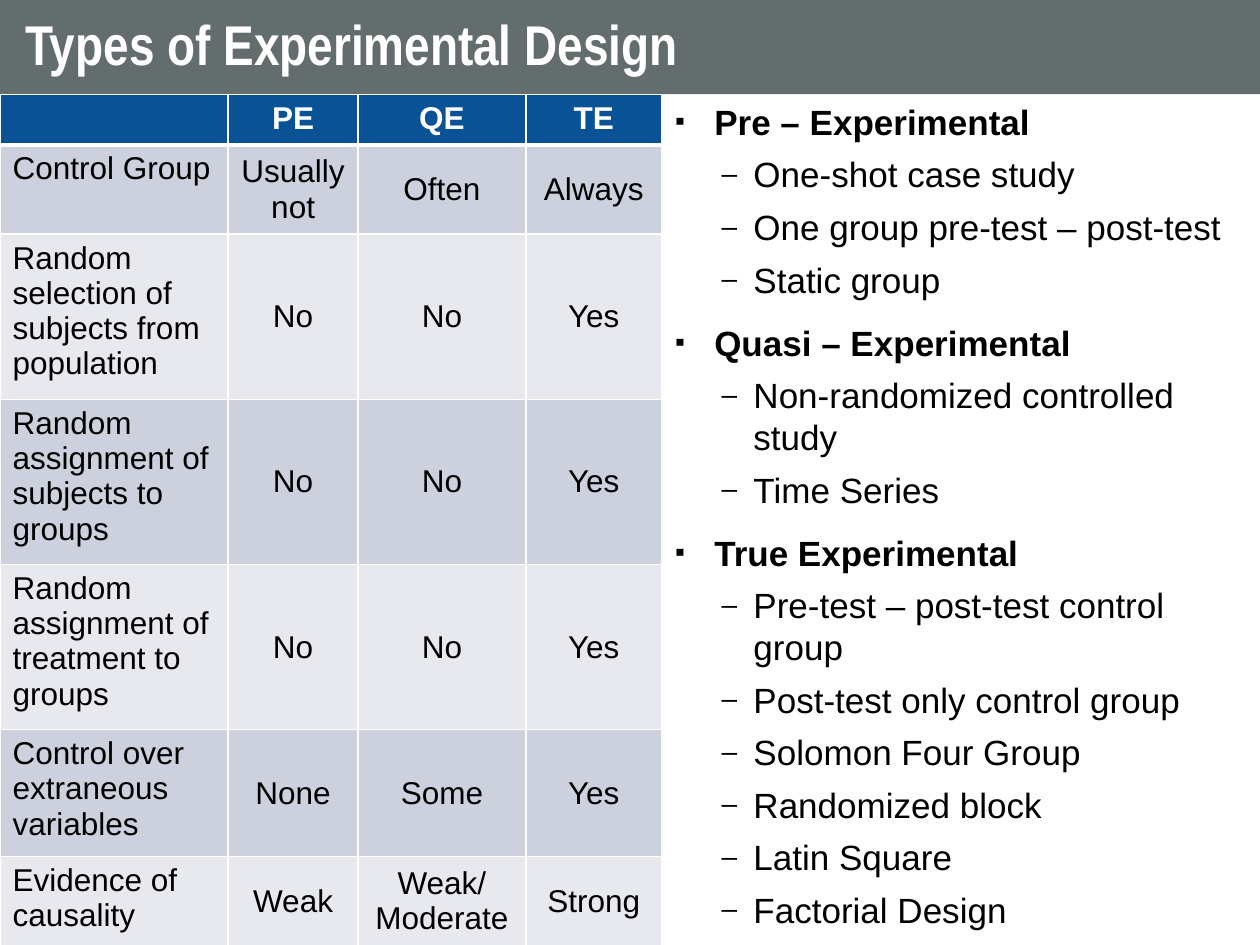
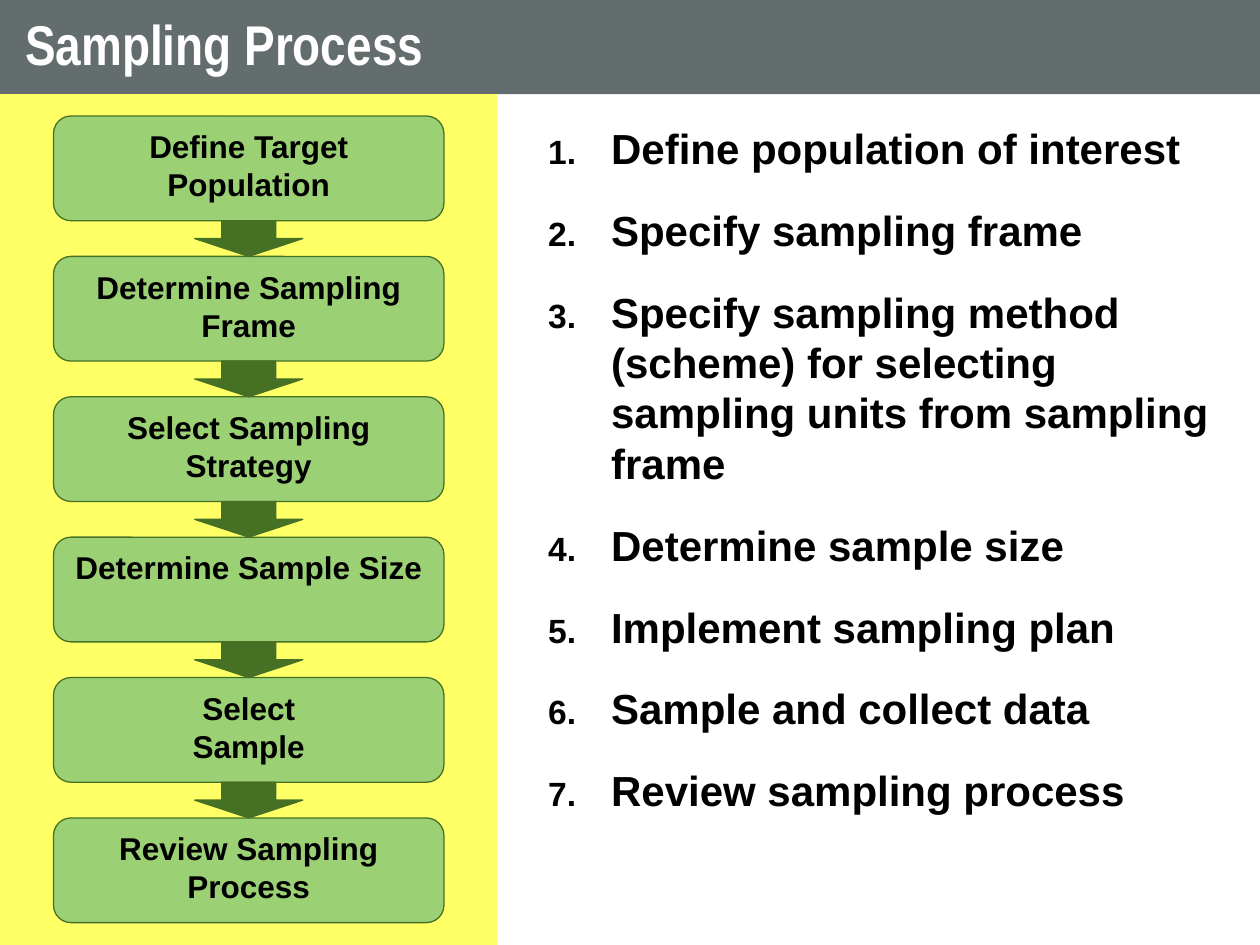
from lxml.etree import SubElement
from pptx import Presentation
from pptx.dml.color import RGBColor
from pptx.enum.shapes import MSO_SHAPE
from pptx.enum.text import MSO_ANCHOR, PP_ALIGN
from pptx.oxml import parse_xml
from pptx.oxml.ns import nsdecls, qn
from pptx.util import Cm, Pt

COLORS = {
    "band": "636D6E",
    "white": "FFFFFF",
    "black": "000000",
    "header": "085295",
    "row_dark": "CCD1DD",
    "row_light": "E7E9EF",
    "panel": "FFFF66",
    "step": "9BD174",
    "arrow": "467125",
}
BODY_FONT = "Arial"
TITLE_FONT = "Arial Narrow"
SLIDE_WIDTH, SLIDE_HEIGHT = 25.4, 19.05
BAND_HEIGHT = 1.9

DESIGN_TABLE = [
    ["", "PE", "QE", "TE"],
    ["Control Group", "Usually not", "Often", "Always"],
    ["Random selection of subjects from population", "No", "No", "Yes"],
    ["Random assignment of subjects to groups", "No", "No", "Yes"],
    ["Random assignment of treatment to groups", "No", "No", "Yes"],
    ["Control over extraneous variables", "None", "Some", "Yes"],
    ["Evidence of causality", "Weak", "Weak/ Moderate", "Strong"],
]
COLUMN_WIDTHS = [4.6, 2.62, 3.38, 2.74]
ROW_HEIGHTS = [1.02, 1.8, 3.33, 3.33, 3.33, 2.56, 1.8]

DESIGN_TYPES = {
    "Pre – Experimental": [
        "One-shot case study",
        "One group pre-test – post-test",
        "Static group",
    ],
    "Quasi – Experimental": [
        "Non-randomized controlled study",
        "Time Series",
    ],
    "True Experimental": [
        "Pre-test – post-test control group",
        "Post-test only control group",
        "Solomon Four Group",
        "Randomized block",
        "Latin Square",
        "Factorial Design",
    ],
}

FLOW_STEPS = [
    ["Define Target Population"],
    ["Determine Sampling Frame"],
    ["Select Sampling Strategy"],
    ["Determine Sample Size"],
    ["Select", "Sample"],
    ["Review Sampling Process"],
]
SAMPLING_TASKS = [
    "Define population of interest",
    "Specify sampling frame",
    "Specify sampling method (scheme) for selecting sampling units from sampling frame",
    "Determine sample size",
    "Implement sampling plan",
    "Sample and collect data",
    "Review sampling process",
]


def rgb(name):
    return RGBColor.from_string(COLORS[name])


def style_font(paragraph, size, color="black", bold=False, name=BODY_FONT):
    font = paragraph.font
    font.name, font.size, font.bold = name, Pt(size), bold
    font.color.rgb = rgb(color)


def add_paragraphs(frame, texts):
    """Fill an empty text frame and return its paragraphs."""
    for index, text in enumerate(texts):
        paragraph = frame.paragraphs[0] if index == 0 else frame.add_paragraph()
        paragraph.text = text
    return frame.paragraphs


def add_block(shapes, kind, left, top, width, height, fill, line=None):
    block = shapes.add_shape(kind, Cm(left), Cm(top), Cm(width), Cm(height))
    block.shadow.inherit = False
    block.fill.solid()
    block.fill.fore_color.rgb = rgb(fill)
    if line:
        block.line.color.rgb = rgb(line)
        block.line.width = Pt(0.75)
    else:
        block.line.fill.background()
    return block


def add_title_band(page, text):
    band = add_block(page.shapes, MSO_SHAPE.RECTANGLE,
                     0, 0, SLIDE_WIDTH, BAND_HEIGHT, "band")
    frame = band.text_frame
    frame.word_wrap = True
    frame.vertical_anchor = MSO_ANCHOR.MIDDLE
    frame.margin_left = frame.margin_right = Cm(0.51)
    frame.margin_top = frame.margin_bottom = Cm(0.25)
    paragraph = add_paragraphs(frame, [text])[0]
    paragraph.alignment = PP_ALIGN.LEFT
    paragraph.line_spacing = 0.9
    style_font(paragraph, 32, "white", True, TITLE_FONT)


def add_text_box(page, left, top, width, height):
    box = page.shapes.add_textbox(Cm(left), Cm(top), Cm(width), Cm(height))
    box.text_frame.word_wrap = True
    return box.text_frame


def set_bullet(paragraph, indent, hanging, symbol=None):
    """Hang the paragraph on a symbol, or on a running number without one."""
    properties = paragraph._p.get_or_add_pPr()
    properties.set("marL", str(Cm(indent)))
    properties.set("indent", str(-Cm(hanging)))
    color = SubElement(properties, qn("a:buClr"))
    SubElement(color, qn("a:srgbClr"), val=COLORS["black"])
    SubElement(properties, qn("a:buSzPct"), val="80000")
    SubElement(properties, qn("a:buFont"), typeface=BODY_FONT)
    if symbol:
        SubElement(properties, qn("a:buChar"), char=symbol)
    else:
        SubElement(properties, qn("a:buAutoNum"), type="arabicPeriod")


def set_cell_borders(cell, row):
    """Draw white cell edges, with a heavier one below the header row."""
    widths = {"L": 1, "R": 1, "T": 3 if row == 1 else 1, "B": 3 if row == 0 else 1}
    properties = cell._tc.get_or_add_tcPr()
    for position, (side, width) in enumerate(widths.items()):
        properties.insert(position, parse_xml(
            f'<a:ln{side} {nsdecls("a")} w="{Pt(width)}"><a:solidFill>'
            f'<a:srgbClr val="{COLORS["white"]}"/></a:solidFill></a:ln{side}>'))


def style_cell(cell, row, column):
    is_header = row == 0
    cell.fill.solid()
    cell.fill.fore_color.rgb = rgb(
        "header" if is_header else "row_dark" if row % 2 else "row_light")
    set_cell_borders(cell, row)
    paragraph = cell.text_frame.paragraphs[0]
    if column > 0:
        paragraph.alignment = PP_ALIGN.CENTER
        if not is_header:
            cell.vertical_anchor = MSO_ANCHOR.MIDDLE
    style_font(paragraph, 18, "white" if is_header else "black", is_header)


def add_design_table(page):
    table = page.shapes.add_table(
        len(ROW_HEIGHTS), len(COLUMN_WIDTHS), Cm(0), Cm(BAND_HEIGHT),
        Cm(sum(COLUMN_WIDTHS)), Cm(sum(ROW_HEIGHTS))).table
    for column, width in zip(table.columns, COLUMN_WIDTHS):
        column.width = Cm(width)
    for row, height in zip(table.rows, ROW_HEIGHTS):
        row.height = Cm(height)
    for row, texts in enumerate(DESIGN_TABLE):
        for column, text in enumerate(texts):
            cell = table.cell(row, column)
            cell.text = text
            style_cell(cell, row, column)


def add_design_outline(page):
    frame = add_text_box(page, 13.36, BAND_HEIGHT, 12.04, 13.84)
    texts = [text for heading, items in DESIGN_TYPES.items()
             for text in (heading, *items)]
    for index, paragraph in enumerate(add_paragraphs(frame, texts)):
        is_heading = paragraph.text in DESIGN_TYPES
        paragraph.space_after = Pt(6)
        if is_heading:
            set_bullet(paragraph, 0.79, 0.79, "▪")
            if index > 0:
                paragraph.space_before = Pt(6)
        else:
            paragraph.level = 1
            set_bullet(paragraph, 1.58, 0.64, "–")
        style_font(paragraph, 20, bold=is_heading)


def add_numbered_tasks(page):
    frame = add_text_box(page, 10.8, 2.34, 14.07, 16.08)
    for paragraph in add_paragraphs(frame, SAMPLING_TASKS):
        paragraph.space_after = Pt(18)
        set_bullet(paragraph, 1.27, 1.27)
        style_font(paragraph, 24, bold=True)


def add_flow(page):
    panel_width, step_width, arrow_width = 10.03, 7.87, 2.18
    step_height, gap, first_top = 2.11, 0.72, 2.34
    shapes = page.shapes.add_group_shape().shapes
    add_block(shapes, MSO_SHAPE.RECTANGLE, 0, BAND_HEIGHT,
              panel_width, SLIDE_HEIGHT - BAND_HEIGHT, "panel")
    for index, texts in enumerate(FLOW_STEPS):
        top = first_top + index * (step_height + gap)
        step = add_block(shapes, MSO_SHAPE.ROUNDED_RECTANGLE,
                         (panel_width - step_width) / 2, top,
                         step_width, step_height, "step", "arrow")
        step.text_frame.word_wrap = True
        step.text_frame.vertical_anchor = MSO_ANCHOR.TOP
        for paragraph in add_paragraphs(step.text_frame, texts):
            paragraph.alignment = PP_ALIGN.CENTER
            style_font(paragraph, 18, bold=True)
        if index > 0:
            add_block(shapes, MSO_SHAPE.DOWN_ARROW,
                      (panel_width - arrow_width) / 2, top - gap,
                      arrow_width, gap, "arrow", "arrow")


def add_page(deck, title):
    page = deck.slides.add_slide(deck.slide_layouts[6])
    add_title_band(page, title)
    return page


def main():
    deck = Presentation()
    deck.slide_width, deck.slide_height = Cm(SLIDE_WIDTH), Cm(SLIDE_HEIGHT)

    design_page = add_page(deck, "Types of Experimental Design")
    add_design_outline(design_page)
    add_design_table(design_page)

    sampling_page = add_page(deck, "Sampling Process")
    add_numbered_tasks(sampling_page)
    add_flow(sampling_page)

    deck.save("out.pptx")


if __name__ == "__main__":
    main()
